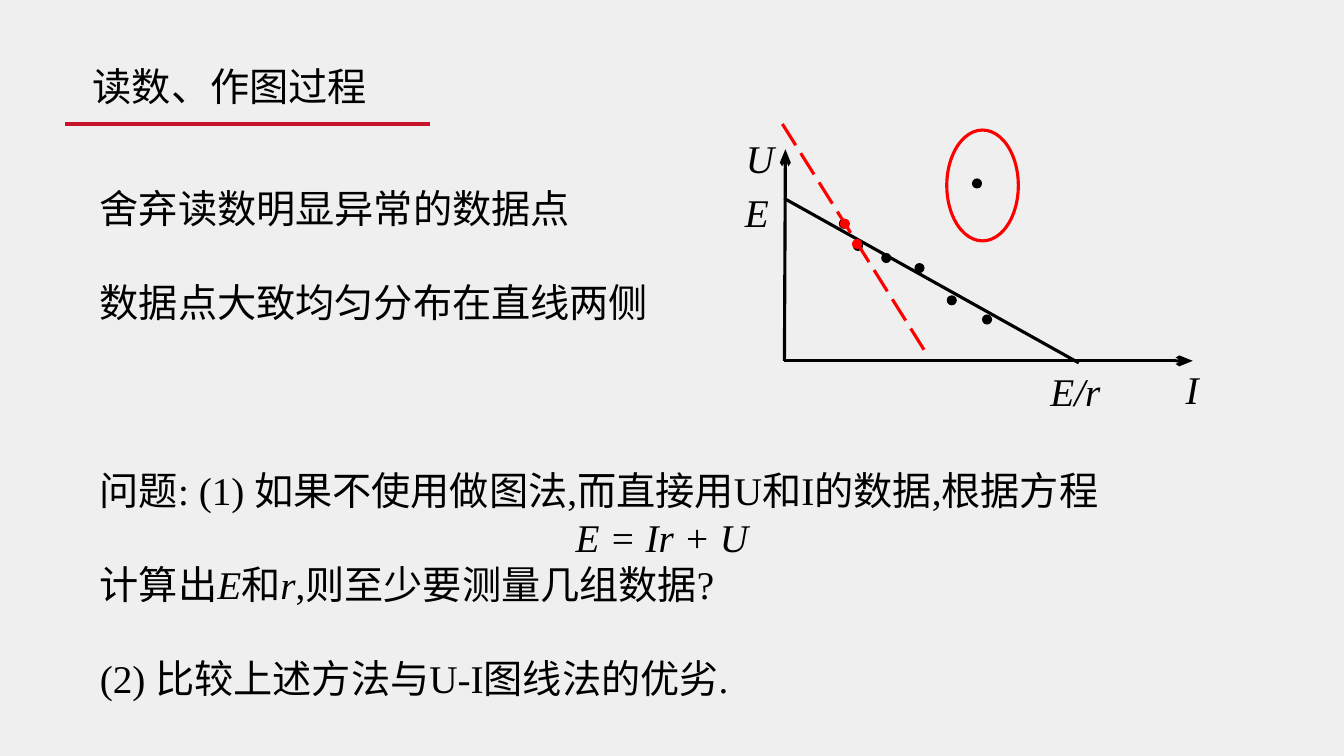
from dataclasses import dataclass

import lxml.etree
import pptx
import pptx.dml.color
import pptx.enum.dml
import pptx.enum.shapes
import pptx.enum.text
import pptx.oxml.ns
import pptx.util

Inches = pptx.util.Inches
Pt = pptx.util.Pt
qn = pptx.oxml.ns.qn
ALIGN = pptx.enum.text.PP_ALIGN
ANCHOR = pptx.enum.text.MSO_ANCHOR
LINK = pptx.enum.shapes.MSO_CONNECTOR.STRAIGHT
OVAL = pptx.enum.shapes.MSO_SHAPE.OVAL


@dataclass(frozen=True)
class Theme:
    back: str = "F0EFEF"
    ink: str = "000000"
    rule: str = "C8132D"
    red: str = "FF0000"
    size: float = 28
    pitch: float = 33.6
    thin: float = 2.25
    thick: float = 3
    serif: str = "Times New Roman"
    hans: str = "Noto Sans CJK SC"


THEME = Theme()

BODY = [
    ("舍弃读数明显异常的数据点", 0, ALIGN.LEFT),
    ("数据点大致均匀分布在直线两侧", 1, ALIGN.LEFT),
    ("问题: (1) 如果不使用做图法,而直接用U和I的数据,根据方程", 3, ALIGN.LEFT),
    ("*E = Ir + U*", 0, ALIGN.CENTER),
    ("计算出*E*和*r*,则至少要测量几组数据?", 0, ALIGN.LEFT),
    ("(2) 比较上述方法与U-I图线法的优劣.", 1, ALIGN.LEFT),
]
LABELS = [
    ("U", 7.3, 1.28, 0.58),
    ("I", 11.66, 3.58, 0.58),
    ("E", 7.29, 1.82, 0.58),
    ("E/r", 10.32, 3.6, 0.95),
]
DOTS = [
    (8.32, 2.17), (8.46, 2.39), (9.07, 2.61), (8.74, 2.51),
    (9.74, 3.12), (9.64, 1.77), (9.39, 2.93),
]
RED_DOTS = [(8.33, 2.17), (8.45, 2.37)]


def tint(code):
    return pptx.dml.color.RGBColor.from_string(code)


def write(para, text, font=THEME.serif, align=ALIGN.LEFT, gap=0):
    para.alignment = align
    para.line_spacing = Pt(THEME.pitch)
    para.space_before = Pt(gap * THEME.pitch)
    para.space_after = Pt(0)
    for i, part in enumerate(text.split("*")):
        if not part:
            continue
        run = para.add_run()
        run.text = part
        run.font.size = Pt(THEME.size)
        run.font.italic = i % 2 == 1
        run.font.color.rgb = tint(THEME.ink)
        run.font.name = font
        east = lxml.etree.SubElement(run.font._element, qn("a:ea"))
        east.set("typeface", THEME.hans)


def place(item, left, top, width, height):
    item.left, item.top = Inches(left), Inches(top)
    item.width, item.height = Inches(width), Inches(height)


def setup(frame, anchor=ANCHOR.TOP, wrap=True):
    frame.auto_size = pptx.enum.text.MSO_AUTO_SIZE.NONE
    frame.vertical_anchor = anchor
    frame.word_wrap = wrap


def add_title(slide):
    title = slide.shapes.title
    place(title, 0.82, 0.57, 2.92, 0.57)
    setup(title.text_frame, wrap=False)
    write(title.text_frame.paragraphs[0], "读数、作图过程", font=THEME.hans)


def add_body(slide):
    body = slide.placeholders[1]
    place(body, 0.89, 1.78, 11.35, 5.28)
    frame = body.text_frame
    setup(frame)
    for i, (text, gap, align) in enumerate(BODY):
        para = frame.add_paragraph() if i else frame.paragraphs[0]
        write(para, text, align=align, gap=gap)
        props = para._p.get_or_add_pPr()
        props.set("marL", "0")
        props.set("indent", "0")
        lxml.etree.SubElement(props, qn("a:buNone"))


def add_label(shapes, text, left, top, width):
    box = shapes.add_textbox(
        Inches(left), Inches(top), Inches(width), Inches(0.57))
    setup(box.text_frame)
    write(box.text_frame.paragraphs[0], f"*{text}*")


def add_line(shapes, start, end, color=THEME.ink, width=THEME.thin,
             dash=None, arrow=False):
    line = shapes.add_connector(LINK, *map(Inches, start + end))
    line.line.color.rgb = tint(color)
    line.line.width = Pt(width)
    if dash:
        line.line.dash_style = dash
    if arrow:
        tip = lxml.etree.SubElement(
            line.line._get_or_add_ln(), qn("a:tailEnd"))
        for key, value in (("type", "arrow"), ("w", "med"), ("len", "lg")):
            tip.set(key, value)
    lxml.etree.SubElement(line._element.spPr, qn("a:effectLst"))


def add_oval(shapes, left, top, width=0.1, height=0.1, fill=None, edge=None):
    oval = shapes.add_shape(OVAL, *map(Inches, (left, top, width, height)))
    oval.shadow.inherit = False
    if fill:
        oval.fill.solid()
        oval.fill.fore_color.rgb = tint(fill)
    else:
        oval.fill.background()
    if edge:
        oval.line.color.rgb = tint(edge)
        oval.line.width = Pt(THEME.thin)
    else:
        oval.line.fill.background()


def add_graph(slide):
    shapes = slide.shapes.add_group_shape().shapes
    base = (7.78, 3.58)
    add_line(shapes, base, (11.83, 3.58), arrow=True)
    add_line(shapes, base, (7.79, 1.48), arrow=True)
    add_line(shapes, (7.78, 1.97), (10.7, 3.6))
    for label in LABELS:
        add_label(shapes, *label)


def add_data(slide):
    shapes = slide.shapes
    for dot in DOTS:
        add_oval(shapes, *dot, fill=THEME.ink)
    add_oval(shapes, 9.39, 1.29, 0.71, 1.1, edge=THEME.red)
    for dot in RED_DOTS:
        add_oval(shapes, *dot, fill=THEME.red)
    add_line(shapes, (7.76, 1.23), (9.19, 3.51), color=THEME.red,
             dash=pptx.enum.dml.MSO_LINE.LONG_DASH)


def main():
    deck = pptx.Presentation()
    deck.slide_width, deck.slide_height = Inches(13.33), Inches(7.5)
    slide = deck.slides.add_slide(deck.slide_layouts[1])
    slide.background.fill.solid()
    slide.background.fill.fore_color.rgb = tint(THEME.back)
    add_title(slide)
    add_line(slide.shapes, (0.64, 1.23), (4.26, 1.23),
             color=THEME.rule, width=THEME.thick)
    add_body(slide)
    add_graph(slide)
    add_data(slide)
    deck.save("out.pptx")


main()
